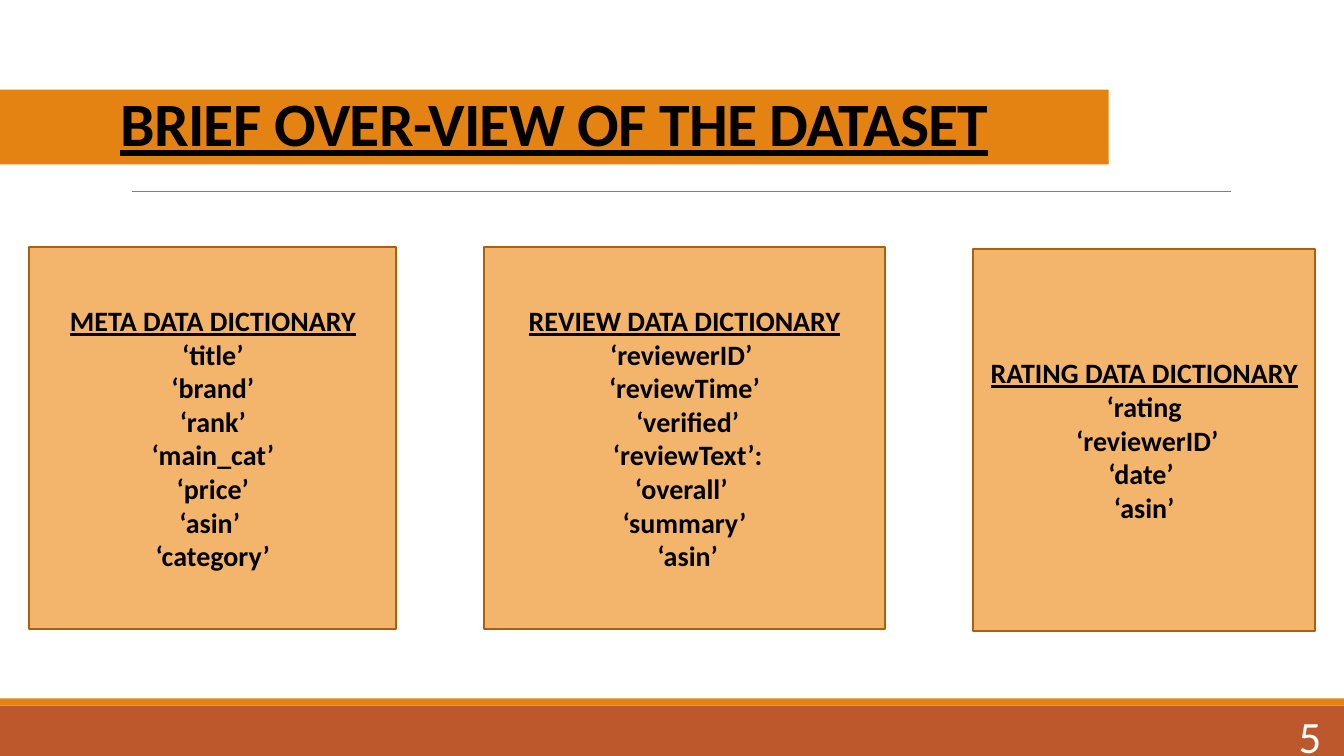
"""Build the dataset overview slide with its three data dictionaries."""
from pptx import Presentation
from pptx.dml.color import RGBColor
from pptx.enum.shapes import MSO_CONNECTOR, MSO_SHAPE
from pptx.enum.text import MSO_ANCHOR, MSO_AUTO_SIZE, PP_ALIGN
from pptx.oxml.ns import qn
from pptx.util import Cm, Pt
from lxml.etree import SubElement

BLACK = RGBColor(0x00, 0x00, 0x00)
WHITE = RGBColor(0xFF, 0xFF, 0xFF)
ORANGE = RGBColor(0xE4, 0x83, 0x12)
RUST = RGBColor(0xBD, 0x58, 0x2C)
PEACH = RGBColor(0xF3, 0xB5, 0x6C)
BROWN = RGBColor(0xA9, 0x61, 0x0D)
GREY = RGBColor(0x80, 0x80, 0x80)

PAGE_WIDTH, PAGE_HEIGHT = 33.87, 19.05
DICTIONARIES = [
    (0.74, 6.22, 9.25, "META DATA DICTIONARY",
     ["‘title’", "‘brand’", "‘rank’", "‘main_cat’", "‘price’", "‘asin’ ", "‘category’"]),
    (12.2, 6.22, 10.1, "REVIEW DATA DICTIONARY",
     ["‘reviewerID’ ", "‘reviewTime’", " ‘verified’", " ‘reviewText’:",
      "‘overall’ ", "‘summary’", " ‘asin’"]),
    (24.53, 6.27, 8.61, "RATING DATA DICTIONARY",
     ["‘rating", " ‘reviewerID’", "‘date’ ", "‘asin’"]),
]


class SlideBuilder:
    """Hold the text style and the current page."""

    def __init__(self, page):
        self.page = page
        self.style = {"name": "Calibri", "size": Pt(20), "bold": True, "underline": False}

    def add_span(self, para, text, color=BLACK, align=PP_ALIGN.CENTER, **changes):
        """Add one styled span to a paragraph."""
        para.alignment = align
        span = para.add_run()
        span.text = text
        for name, value in {**self.style, **changes}.items():
            setattr(span.font, name, value)
        span.font.color.rgb = color
        return span

    def title(self, text, left, top, width, height):
        """Place the title on its coloured bar."""
        box = self.page.shapes.title
        box.left, box.top, box.width, box.height = map(Cm, (left, top, width, height))
        box.fill.solid()
        box.fill.fore_color.rgb = ORANGE
        frame = box.text_frame
        frame.auto_size = MSO_AUTO_SIZE.NONE
        frame.vertical_anchor = MSO_ANCHOR.BOTTOM
        para = frame.paragraphs[0]
        para.line_spacing = 0.85
        span = self.add_span(para, text, size=Pt(44), underline=True)
        span._r.get_or_add_rPr().set("spc", "-50")

    def rectangle(self, left, top, width, height, fill, line=None):
        """Draw a filled rectangle, outlined if a line colour is given."""
        box = self.page.shapes.add_shape(
            MSO_SHAPE.RECTANGLE, *map(Cm, (left, top, width, height)))
        box.shadow.inherit = False
        box.fill.solid()
        box.fill.fore_color.rgb = fill
        if line is None:
            box.line.fill.background()
        else:
            box.line.color.rgb = line
            box.line.width = Pt(1.25)
        return box

    def dictionary(self, left, top, width, heading, keys):
        """Draw a box with an underlined heading above its keys."""
        frame = self.rectangle(left, top, width, 9.63, PEACH, BROWN).text_frame
        frame.word_wrap = True
        frame.vertical_anchor = MSO_ANCHOR.MIDDLE
        self.add_span(frame.paragraphs[0], heading, underline=True)
        for key in keys:
            self.add_span(frame.add_paragraph(), key)

    def rule(self, left, right, height):
        """Draw a thin horizontal line."""
        line = self.page.shapes.add_connector(
            MSO_CONNECTOR.STRAIGHT, Cm(left), Cm(height), Cm(right), Cm(height))
        line.line.color.rgb = GREY
        line.line.width = Pt(0.5)
        SubElement(line._element.spPr, qn("a:effectLst"))

    def page_number(self, text, left, top, width, height):
        """Put the page number in the footer."""
        box = self.page.shapes.add_textbox(*map(Cm, (left, top, width, height)))
        frame = box.text_frame
        frame.word_wrap = True
        frame.vertical_anchor = MSO_ANCHOR.MIDDLE
        self.add_span(frame.paragraphs[0], text, WHITE, PP_ALIGN.RIGHT, size=Pt(32), bold=False)


def main():
    """Build and save the deck."""
    deck = Presentation()
    deck.slide_width, deck.slide_height = Cm(PAGE_WIDTH), Cm(PAGE_HEIGHT)
    builder = SlideBuilder(deck.slides.add_slide(deck.slide_layouts[5]))
    builder.rectangle(0, 17.78, PAGE_WIDTH, 1.27, RUST)
    builder.rectangle(0, 17.6, PAGE_WIDTH, 0.18, ORANGE)
    builder.rule(3.33, 31.01, 4.83)
    builder.title("BRIEF OVER-VIEW OF THE DATASET", 0, 2.26, 27.94, 1.88)
    for dictionary in DICTIONARIES:
        builder.dictionary(*dictionary)
    builder.page_number("5", 29.92, 18.03, 3.63, 1.02)
    deck.save("out.pptx")


if __name__ == "__main__":
    main()
